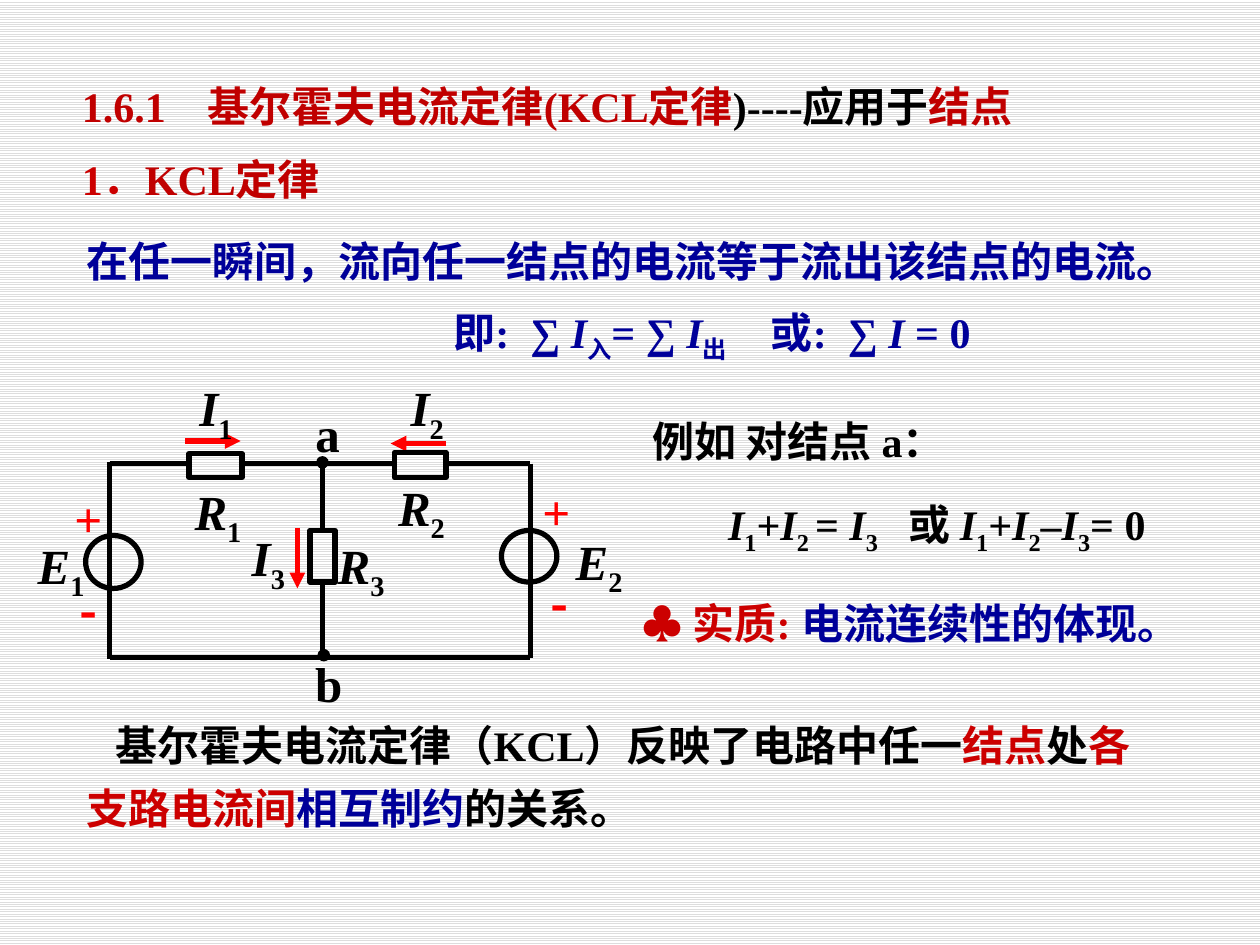
"""Build the slide on Kirchhoff's current law with its two-source circuit."""
from lxml import etree
from pptx import Presentation
from pptx.dml.color import RGBColor
from pptx.enum.dml import MSO_PATTERN
from pptx.enum.shapes import MSO_CONNECTOR, MSO_SHAPE
from pptx.enum.text import MSO_ANCHOR, MSO_AUTO_SIZE, PP_ALIGN
from pptx.oxml.ns import qn
from pptx.util import Inches, Pt

STRIPES = MSO_PATTERN.LIGHT_HORIZONTAL
STRAIGHT = MSO_CONNECTOR.STRAIGHT
OVAL, RECT = MSO_SHAPE.OVAL, MSO_SHAPE.RECTANGLE
TOP, MIDDLE = MSO_ANCHOR.TOP, MSO_ANCHOR.MIDDLE
NO_AUTOFIT = MSO_AUTO_SIZE.NONE
LEFT, CENTER = PP_ALIGN.LEFT, PP_ALIGN.CENTER

COLORS = {
    "black": "000000", "white": "FFFFFF", "stripe": "DDDDDD", "title": "C00000",
    "key": "CC0000", "law": "000099", "signal": "FF0000",
}
SERIF, SANS = "Times New Roman", "Noto Sans CJK SC"
STYLE_ATTRIBUTES = {"sub": ("baseline", "-25000"), "wide": ("spc", "600")}


def symbol(letter, index):
    return [(letter, "italic"), (index, "sub")]


I1, I2, I3 = (symbol("I", n) for n in "123")

TITLE = [("1.6.1\t基尔霍夫电流定律(KCL定律", "", "title"), (")----应用于", "", "black"),
         ("结点", "", "title")]
HEADING = [("1．", "", "key"), ("KCL定律", "", "title")]

STATEMENTS = [
    ((3.5, 2.38, 2.83, 0.5),
     [("即:",), (" ", "wide"), ("∑ ",)] + symbol("I", "入") + [("= ∑ ",)] + symbol("I", "出"),
     {"color": "law"}),
    ((0.59, 1.78, 9.14, 0.54),
     [("在任一瞬间，流向任一结点的电流等于流出该结点的电流。",)],
     {"color": "law", "spacing": 1.1}),
    ((4.99, 4.69, 4.74, 0.5),
     [("♣ 实质: ", "", "key"), ("电流连续性的体现。", "", "law")], {}),
    ((6.02, 2.38, 2.84, 0.5),
     [("或:",), (" ", "wide"), ("∑ ",), ("I ", "italic"), ("= 0",)], {"color": "law"}),
    ((5.08, 3.25, 3.47, 0.5), [("例如 对结点 a：",)], {}),
    ((5.68, 3.91, 1.84, 0.5), I1 + [("+",)] + symbol("I", "2 ") + [("= ",)] + I3, {}),
    ((7.11, 3.91, 2.61, 0.5),
     [("或 ",)] + I1 + [("+",)] + I2 + [("–",)] + I3 + [("= 0",)], {}),
    ((0.59, 5.56, 8.75, 1.1),
     [("基尔霍夫电流定律（KCL）反映了电路中任一",), ("结点", "", "key"), ("处",),
      ("各支路电流间", "", "key"), ("相互制约", "", "law"), ("的关系。",)],
     {"spacing": 1.25, "indent": 0.23}),
]

LABEL_HEIGHT = 0.47
QUANTITIES = [
    (1.45, 3.0, 0.53, I1), (3.15, 3.0, 0.48, I2), (1.91, 4.19, 0.44, I3),
    (1.37, 3.82, 0.72, symbol("R", "1")), (3.05, 3.79, 0.59, symbol("R", "2")),
    (2.67, 4.25, 0.39, symbol("R", "3")),
    (0.11, 4.25, 0.75, symbol("E", "1")), (4.44, 4.22, 0.63, symbol("E", "2")),
    (2.4, 3.2, 0.4, [("a",)]), (2.41, 5.19, 0.4, [("b",)]),
]
POLARITIES = [
    (0.54, 3.88, 0.32, "+", SERIF), (4.22, 3.82, 0.39, "+", SERIF),
    (0.55, 4.61, 0.3, "-", SANS), (4.28, 4.55, 0.32, "-", SANS),
]
X_LEFT, X_MIDDLE, X_RIGHT = 0.87, 2.56, 4.21
Y_TOP, Y_BOTTOM = 3.68, 5.22
WIRES = [
    (X_LEFT, Y_TOP, 1.5, Y_TOP), (1.94, Y_TOP, 3.14, Y_TOP), (3.54, Y_TOP, X_RIGHT, Y_TOP),
    (X_LEFT, Y_TOP - 0.01, X_LEFT, Y_BOTTOM + 0.01), (X_RIGHT, Y_TOP, X_RIGHT, Y_BOTTOM),
    (X_LEFT, Y_BOTTOM, X_RIGHT, Y_BOTTOM),
    (X_MIDDLE, Y_TOP, X_MIDDLE, 4.22), (X_MIDDLE, 4.62, X_MIDDLE, Y_BOTTOM),
]
CURRENTS = [(1.47, 3.5, 1.91, 3.5), (3.54, 3.52, 3.1, 3.52), (2.36, 4.19, 2.36, 4.67)]
SOURCES = [(0.68, 4.25, 0.44, 0.42), (3.98, 4.21, 0.44, 0.41)]
RESISTORS = [(1.5, 3.6, 0.42, 0.19), (3.13, 3.59, 0.41, 0.2), (2.46, 4.21, 0.2, 0.41)]
NODES = [(2.51, 3.62, 0.1, 0.1), (2.52, 5.15, 0.1, 0.1)]


def rgb(name):
    return RGBColor.from_string(COLORS[name])


def place(shape, box):
    shape.left, shape.top, shape.width, shape.height = map(Inches, box)


def write(frame, runs, *, size=24, color="black", font=SERIF, align=LEFT, anchor=TOP,
          spacing=1.0, indent=0, margin=0, tab=None, inset=None):
    frame.word_wrap = True
    frame.auto_size = NO_AUTOFIT
    frame.vertical_anchor = anchor
    if inset is not None:
        frame.margin_left = frame.margin_right = Inches(inset)
        frame.margin_top = frame.margin_bottom = Inches(inset)
    paragraph = frame.paragraphs[0]
    paragraph.alignment = align
    paragraph.line_spacing = spacing
    paragraph.space_before = Pt(0)
    properties = paragraph._p.get_or_add_pPr()
    properties.set("marL", str(Inches(margin)))
    properties.set("indent", str(Inches(indent)))
    etree.SubElement(properties, qn("a:buNone"))
    if tab:
        stops = etree.SubElement(properties, qn("a:tabLst"))
        etree.SubElement(stops, qn("a:tab"), pos=str(Inches(tab)), algn="l")
    for text, *format_parts in runs:
        style, run_color = (format_parts + ["", color][len(format_parts):])[:2]
        run = paragraph.add_run()
        run.text = text
        run.font.name, run.font.size, run.font.bold = font, Pt(size), True
        run.font.italic = style == "italic"
        run.font.color.rgb = rgb(run_color)
        run_properties = run._r.get_or_add_rPr()
        etree.SubElement(run_properties, qn("a:ea"), typeface=SANS)
        if style in STYLE_ATTRIBUTES:
            run_properties.set(*STYLE_ATTRIBUTES[style])


def add_text(shapes, box, runs, **text_format):
    write(shapes.add_textbox(*map(Inches, box)).text_frame, runs, **text_format)


def add_line(shapes, ends, color="black", arrow=False):
    connector = shapes.add_connector(STRAIGHT, *map(Inches, ends))
    connector.line.color.rgb = rgb(color)
    connector.line.width = Pt(3)
    if arrow:
        etree.SubElement(connector.line._get_or_add_ln(), qn("a:tailEnd"), type="triangle")
    etree.SubElement(connector._element.spPr, qn("a:effectLst"))


def add_part(shapes, kind, box, solid=False):
    part = shapes.add_shape(kind, *map(Inches, box))
    part.shadow.inherit = False
    if solid:
        part.fill.solid()
        part.fill.fore_color.rgb = rgb("black")
        part.line.fill.background()
    else:
        part.fill.background()
        part.line.color.rgb = rgb("black")
        part.line.width = Pt(3)


def draw_circuit(shapes):
    for wire in WIRES:
        add_line(shapes, wire)
    for current in CURRENTS:
        add_line(shapes, current, "signal", arrow=True)
    for source in SOURCES:
        add_part(shapes, OVAL, source)
    for resistor in RESISTORS:
        add_part(shapes, RECT, resistor)
    for node in NODES:
        add_part(shapes, OVAL, node, solid=True)
    for left, top, width, runs in QUANTITIES:
        add_text(shapes, (left, top, width, LABEL_HEIGHT), runs, size=28, align=CENTER, inset=0)
    for left, top, width, sign, font in POLARITIES:
        add_text(shapes, (left, top, width, LABEL_HEIGHT), [(sign,)], size=28,
                 color="signal", font=font, align=CENTER, inset=0)


def main():
    presentation = Presentation()
    presentation.slide_width, presentation.slide_height = Inches(10), Inches(7.5)
    slide = presentation.slides.add_slide(presentation.slide_layouts[1])
    background = slide.background.fill
    background.patterned()
    background.pattern = STRIPES
    background.fore_color.rgb, background.back_color.rgb = rgb("stripe"), rgb("white")

    title, heading = slide.shapes.title, slide.placeholders[1]
    place(title, (0.55, 0.42, 8.04, 0.83))
    write(title.text_frame, TITLE, anchor=MIDDLE, tab=1)
    place(heading, (0.55, 1.17, 4.61, 0.5))
    write(heading.text_frame, HEADING, margin=0.51, indent=-0.51)
    for box, runs, text_format in STATEMENTS:
        add_text(slide.shapes, box, runs, **text_format)
    draw_circuit(slide.shapes.add_group_shape().shapes)
    presentation.save("out.pptx")


if __name__ == "__main__":
    main()
